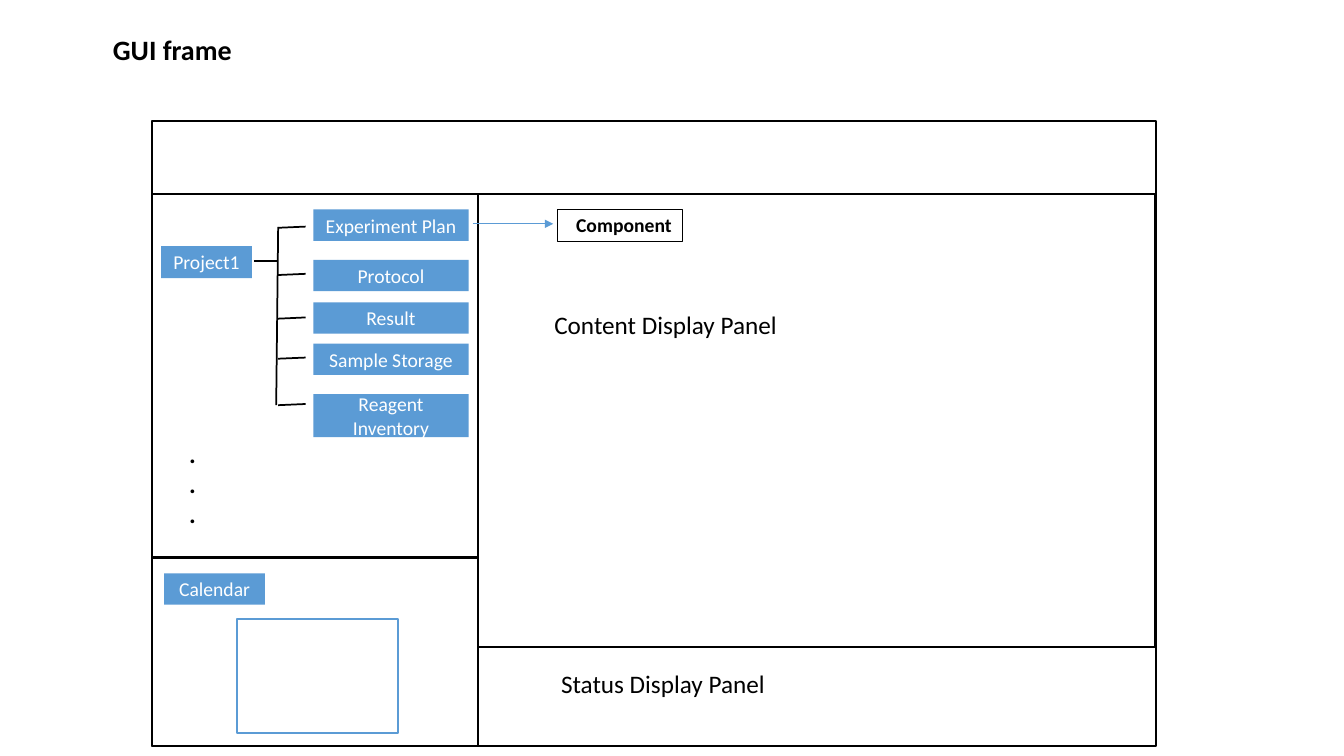
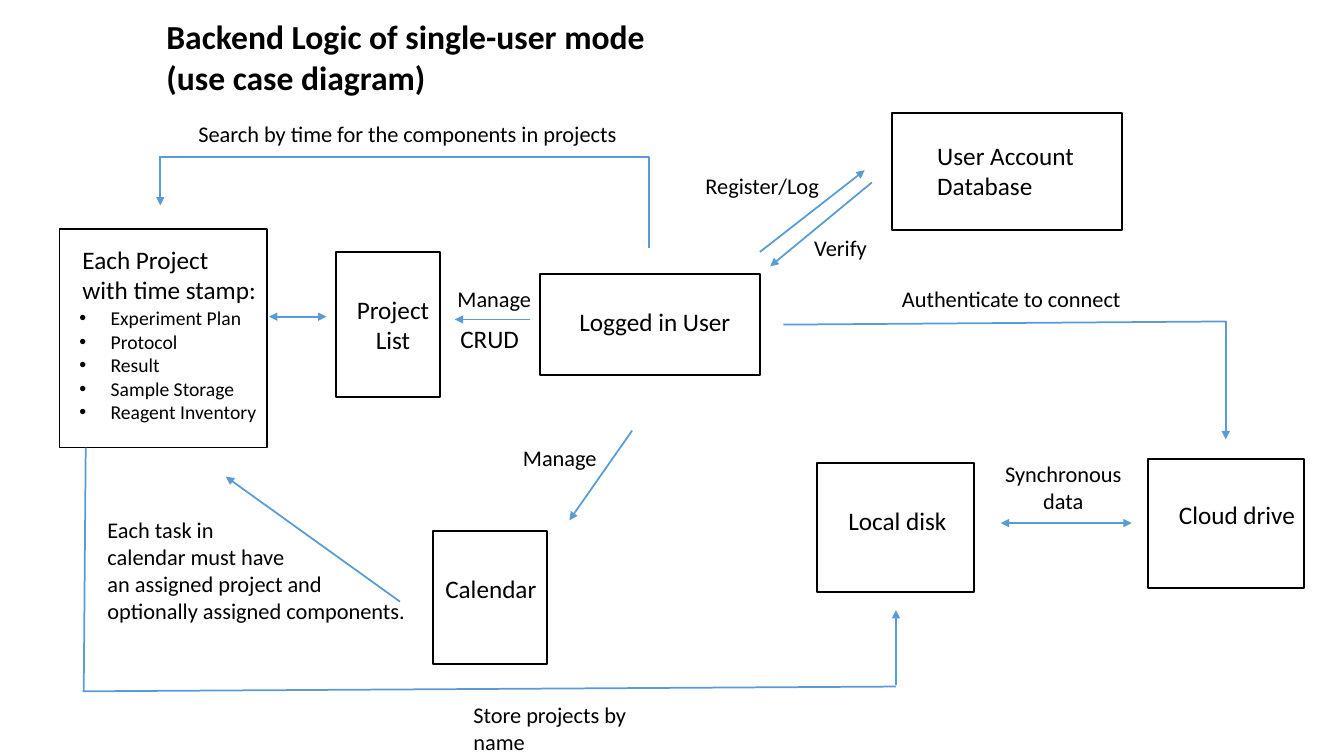
from dataclasses import dataclass

from lxml.etree import SubElement
from pptx import Presentation
from pptx.dml.color import RGBColor as Rgb
from pptx.enum.shapes import MSO_CONNECTOR as Conn, MSO_SHAPE as Kind
from pptx.enum.text import MSO_ANCHOR as Anchor, MSO_AUTO_SIZE as Fit, PP_ALIGN as Align
from pptx.oxml.ns import qn
from pptx.slide import Slide
from pptx.text.text import TextFrame
from pptx.util import Cm, Pt

HUES = {"ink": "000000", "blue": "5B9BD5", "white": "FFFFFF"}
FONT = "Calibri"
PARTS = ["Experiment Plan", "Protocol", "Result", "Sample Storage", "Reagent Inventory"]


@dataclass
class Box:
    """A rectangle, in centimetres."""
    x: float
    y: float
    w: float
    h: float
    text: str = ""
    fill: str = ""
    edge: str = "ink"
    weight: float = 1.5


@dataclass
class Label:
    """Free text, in centimetres."""
    x: float
    y: float
    w: float
    h: float
    text: str
    size: int = 16
    bold: bool = False
    wrap: bool = False
    mid: bool = False
    dots: bool = False


@dataclass
class Line:
    """A line from one point to another, in centimetres."""
    x1: float
    y1: float
    x2: float
    y2: float
    ends: str = ""
    hue: str = "blue"
    weight: float = 1.25
    bent: bool = False


def rgb(name: str) -> Rgb:
    """Look up a named colour."""
    return Rgb.from_string(HUES[name])


def style(frame: TextFrame, size: int, hue: str, bold: bool, align: Align) -> None:
    """Format all the text of a frame."""
    for para in frame.paragraphs:
        para.alignment = align
        for run in para.runs:
            font = run.font
            font.name, font.size, font.bold = FONT, Pt(size), bold
            font.color.rgb = rgb(hue)


def add_box(slide: Slide, box: Box) -> None:
    """Draw a rectangle with its centred text."""
    shape = slide.shapes.add_shape(Kind.RECTANGLE, Cm(box.x), Cm(box.y), Cm(box.w), Cm(box.h))
    shape.shadow.inherit = False
    if box.fill:
        shape.fill.solid()
        shape.fill.fore_color.rgb = rgb(box.fill)
    else:
        shape.fill.background()
    if box.edge:
        shape.line.color.rgb = rgb(box.edge)
        shape.line.width = Pt(box.weight)
    else:
        shape.line.fill.background()
    if box.text:
        frame = shape.text_frame
        frame.text = box.text
        frame.vertical_anchor = Anchor.MIDDLE
        style(frame, 14, "white", False, Align.CENTER)


def add_chip(slide: Slide, x: float, y: float, w: float, text: str, h: float = 0.79) -> None:
    """Draw a blue button without an edge."""
    add_box(slide, Box(x, y, w, h, text, "blue", ""))


def add_label(slide: Slide, label: Label) -> None:
    """Write a text box."""
    shape = slide.shapes.add_textbox(Cm(label.x), Cm(label.y), Cm(label.w), Cm(label.h))
    frame = shape.text_frame
    frame.text = label.text
    frame.word_wrap = label.wrap
    frame.auto_size = Fit.SHAPE_TO_FIT_TEXT
    style(frame, label.size, "ink", label.bold, Align.CENTER if label.mid else Align.LEFT)
    if label.dots:
        for para in frame.paragraphs:
            props = para._p.get_or_add_pPr()
            props.set("marL", str(Cm(0.79)))
            props.set("indent", str(-Cm(0.79)))
            SubElement(props, qn("a:buFont"), typeface="Arial")
            SubElement(props, qn("a:buChar"), char="•")


def add_line(slide: Slide, line: Line) -> None:
    """Draw a line; ends names where its arrowheads sit."""
    kind = Conn.ELBOW if line.bent else Conn.STRAIGHT
    shape = slide.shapes.add_connector(kind, Cm(line.x1), Cm(line.y1), Cm(line.x2), Cm(line.y2))
    shape.line.color.rgb = rgb(line.hue)
    shape.line.width = Pt(line.weight)
    props = shape.element.spPr
    if line.bent:
        props.find(qn("a:prstGeom")).set("prst", "bentConnector2")
    for end in line.ends.split():
        SubElement(props.find(qn("a:ln")), qn(f"a:{end}End"), type="triangle")
    SubElement(props, qn("a:effectLst"))


def draw(slide: Slide, items: list[Box | Label | Line]) -> None:
    """Draw items from back to front."""
    tools = {Box: add_box, Label: add_label, Line: add_line}
    for item in items:
        tools[type(item)](slide, item)


def new_slide(deck: Presentation, text: str, spot: tuple[float, ...], size: int) -> Slide:
    """Add a slide and set its title."""
    slide = deck.slides.add_slide(deck.slide_layouts[5])
    title = slide.shapes.title
    title.left, title.top, title.width, title.height = map(Cm, spot)
    frame = title.text_frame
    frame.text = text
    frame.word_wrap = True
    frame.auto_size = Fit.NONE
    frame.vertical_anchor = Anchor.TOP
    style(frame, size, "ink", True, Align.LEFT)
    return slide


def add_tree(slide: Slide) -> None:
    """Draw the project tree: a trunk, and a twig and chip for each part."""
    tops = [5.28, 6.55, 7.62, 8.66, 9.93]
    twigs = [5.74, 6.93, 8.03, 9.04, 10.21]
    add_chip(slide, 4.06, 6.2, 2.29, "Project1", 0.81)
    for part, top, twig in zip(PARTS, tops, twigs):
        add_line(slide, Line(7.01, twig, 7.7, twig - 0.03, hue="ink"))
        add_chip(slide, 7.9, top, 3.91, part, 1.09 if part == PARTS[-1] else 0.79)
    add_line(slide, Line(7.01, 5.72, 6.96, 10.21, hue="ink"))
    add_line(slide, Line(6.4, 6.58, 7.01, 6.58, hue="ink", weight=1.5))


def gui_slide(deck: Presentation) -> None:
    """Build the window layout."""
    slide = new_slide(deck, "GUI frame", (2.59, 0.69, 6.17, 1.12), 20)
    draw(slide, [
        Box(3.84, 3.05, 25.3, 15.75, fill="white", weight=1.25),
        Box(3.84, 4.88, 8.2, 9.17, fill="white"),
    ])
    add_tree(slide)
    draw(slide, [
        Box(14.05, 5.28, 3.15, 0.81, weight=1.25),
        Label(14.27, 5.23, 2.95, 0.86, "Component", 14, True),
        Label(4.52, 10.92, 0.69, 2.57, ".\n.\n.", 18, True),
        Box(3.84, 14.05, 8.2, 4.75),
        Box(5.97, 15.6, 4.06, 2.87, edge="blue", weight=1.25),
        Box(12.04, 4.88, 17.07, 11.43),
        Line(11.91, 5.64, 13.94, 5.64, "tail", weight=0.5),
        Label(13.72, 7.67, 6.2, 1.02, "Content Display Panel", 18),
        Label(13.89, 16.71, 5.69, 1.02, "Status Display Panel", 18),
    ])
    add_chip(slide, 4.14, 14.45, 2.54, "Calendar")


def logic_slide(deck: Presentation) -> None:
    """Build the use case diagram."""
    head = "Backend Logic of single-user mode\n(use case diagram)"
    slide = new_slide(deck, head, (3.94, 0.28, 13.5, 2.31), 24)
    task = ("Each task in\ncalendar must have\nan assigned project and\n"
            "optionally assigned components.")
    draw(slide, [
        # Actors and stores
        Box(13.61, 6.91, 5.54, 2.54),
        Label(14.35, 7.59, 4.52, 1.02, "Logged in User", 18),
        Box(22.48, 2.84, 5.79, 2.95),
        Label(23.37, 3.4, 5.56, 1.8, "User Account Database", 18, wrap=True),
        Box(8.46, 6.35, 2.64, 3.66),
        Label(8.66, 7.29, 2.49, 1.8, "Project\nList", 18, mid=True),
        Box(1.5, 5.77, 5.23, 5.51, weight=1.25),
        Label(1.83, 6.02, 4.93, 1.8, "Each Project\nwith time stamp:", 18),
        Label(1.75, 7.59, 5.03, 3.25, "\n".join(PARTS), 14, dots=True),
        Box(10.92, 13.39, 2.87, 3.35),
        Label(10.95, 14.33, 2.84, 1.02, "Calendar", 18, mid=True),
        Box(20.6, 11.66, 3.94, 3.25),
        Label(21.13, 12.6, 3.02, 1.02, "Local disk", 18),
        Box(28.93, 11.56, 3.94, 3.25),
        Label(29.46, 12.45, 3.48, 1.02, "Cloud drive", 18),
        # Account
        Line(19.15, 6.35, 21.79, 4.29, "tail"),
        Label(17.53, 4.22, 3.4, 0.94, "Register/Log"),
        Line(21.97, 4.6, 19.41, 6.71, "tail"),
        Label(20.27, 5.77, 1.85, 0.94, "Verify"),
        # Projects
        Line(13.36, 8.05, 11.46, 8.05, "tail"),
        Label(11.28, 7.06, 2.39, 0.94, "Manage"),
        Label(11.35, 8.03, 2.01, 1.02, "CRUD", 18),
        Line(6.78, 7.98, 8.23, 7.98, "head tail"),
        Line(4.01, 3.96, 16.36, 6.25, bent=True),
        Line(4.04, 3.94, 4.04, 5.18, "tail"),
        Label(4.75, 2.9, 11.2, 0.94, "Search by time for the components in projects"),
        # Calendar
        Line(15.93, 10.85, 14.35, 13.11, "tail"),
        Label(12.93, 11.07, 2.39, 0.94, "Manage"),
        Line(10.08, 15.16, 5.69, 12.01, "tail"),
        Label(2.46, 12.88, 8.1, 3, task),
        # Disk and cloud
        Line(2.16, 11.28, 2.11, 17.42),
        Line(2.08, 17.42, 22.58, 17.3),
        Line(22.58, 17.27, 22.58, 15.37, "tail"),
        Label(11.68, 17.55, 5.08, 1.63, "Store projects by name", wrap=True),
        Line(19.74, 8.18, 30.89, 8.1),
        Line(30.89, 8.1, 30.89, 11.07, "tail"),
        Label(22.48, 7.06, 6.65, 0.94, "Authenticate to connect", wrap=True),
        Line(25.22, 13.18, 28.52, 13.18, "head tail"),
        Label(25.07, 11.48, 3.45, 1.63, "Synchronous\ndata", wrap=True, mid=True),
    ])


def main() -> None:
    """Build and save the deck."""
    deck = Presentation()
    deck.slide_width, deck.slide_height = Cm(33.87), Cm(19.05)
    gui_slide(deck)
    logic_slide(deck)
    deck.save("out.pptx")


main()
